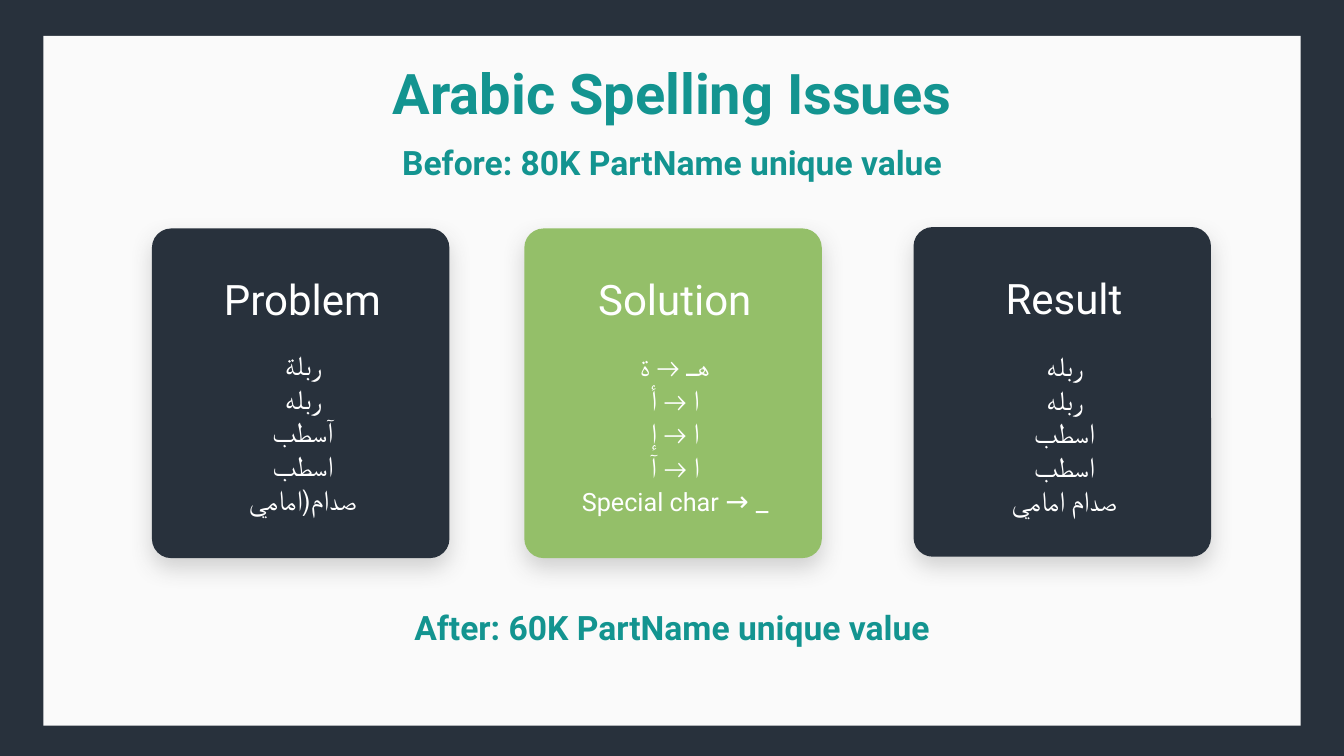
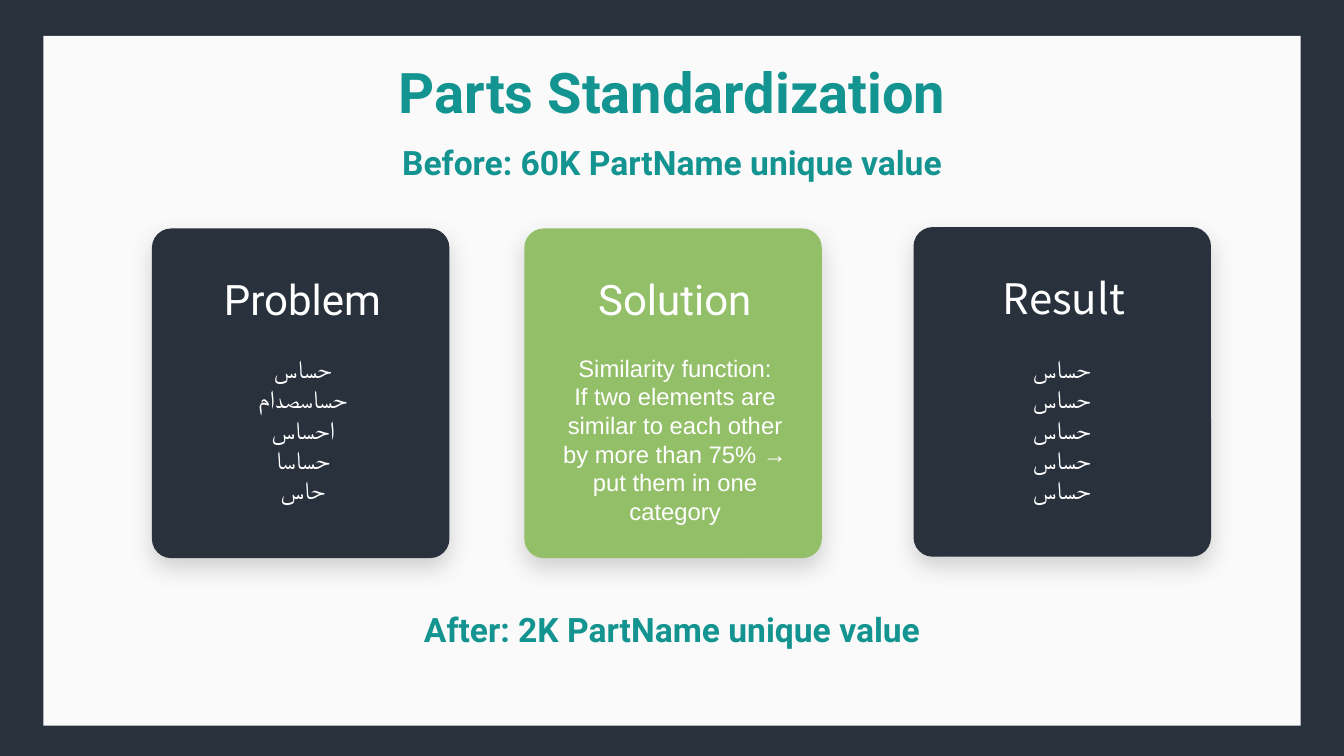
from dataclasses import dataclass

from lxml import etree
from pptx import Presentation
from pptx.dml.color import RGBColor
from pptx.enum.shapes import MSO_SHAPE
from pptx.enum.text import MSO_ANCHOR, PP_ALIGN
from pptx.oxml.ns import qn
from pptx.util import Pt

RECT, ROUND = MSO_SHAPE.RECTANGLE, MSO_SHAPE.ROUNDED_RECTANGLE
TOP, CENTER = MSO_ANCHOR.TOP, PP_ALIGN.CENTER

NAVY = RGBColor(0x28, 0x31, 0x3C)
PAPER = RGBColor(0xFA, 0xFA, 0xFA)
TEAL = RGBColor(0x13, 0x94, 0x90)
GREEN = RGBColor(0x94, 0xBF, 0x69)
WHITE = RGBColor(0xFF, 0xFF, 0xFF)
SHADE = RGBColor(0x40, 0x40, 0x40)

ROBOTO, ARIAL, NOTO = "Roboto", "Arial", "Noto Sans CJK SC"

# Card geometry
CARD_W, CARD_H = 212.5, 235.5
HEAD_DX, HEAD_DY, HEAD_W, HEAD_H = 5.5, 29, 204, 44
BODY_W = 181.5


@dataclass(frozen=True)
class Style:
    size: float
    color: RGBColor = WHITE
    font: str = ROBOTO
    bold: bool = False


@dataclass(frozen=True)
class Slot:
    head: str
    left: float
    top: float
    color: RGBColor


@dataclass(frozen=True)
class Body:
    lines: tuple[str, ...]
    style: Style
    top: float
    height: float
    inset: float = 17
    last: tuple[tuple[str, float], ...] = ()
    font: str = ROBOTO  # font of the card heading


@dataclass(frozen=True)
class Page:
    title: str
    before: str
    after: str
    title_y: float
    after_y: float
    cards: tuple[Body, ...]


SLOTS = (
    Slot("Problem", 108.5, 163.2, NAVY),
    Slot("Solution", 374.5, 163.2, GREEN),
    Slot("Result", 652.5, 162.2, NAVY),
)

TITLE = Style(40, TEAL, bold=True)
COUNT = Style(24, TEAL, bold=True)
SPELL = Style(20)
PART = Style(18, font=ARIAL)
RULE = Style(17, font=ARIAL)

PAGES = (
    Page(
        "Arabic Spelling Issues",
        "Before: 80K PartName unique value",
        "After: 60K PartName unique value",
        38.2, 430,
        (
            Body(("ربلة", "ربله", "آسطب", "اسطب", "صدام(امامي"),
                 SPELL, 244.8, 128),
            Body(("هـ → ة", "ا → أ", "ا → إ", "ا → آ"), SPELL, 245.5, 128,
                 last=(("Special char ", 18), ("→ _", 20))),
            Body(("ربله", "ربله", "اسطب", "اسطب", "صدام امامي"),
                 SPELL, 245.5, 128),
        ),
    ),
    Page(
        "Parts Standardization",
        "Before: 60K PartName unique value",
        "After: 2K PartName unique value",
        37.4, 431.3,
        (
            Body(("حساس", "حساسصدام", "احساس", "حساسا", "حاس"),
                 PART, 249, 116.6),
            Body(("Similarity function:",
                  "If two elements are similar to each other by more than "
                  "75% → put them in one category"),
                 RULE, 249, 131),
            Body(("حساس",) * 5, PART, 249, 116.6, inset=15, font=NOTO),
        ),
    ),
)


def paint(run, style: Style, size: float) -> None:
    font = run.font
    font.size, font.name, font.bold = Pt(size), style.font, style.bold
    font.color.rgb = style.color


def write(shape, lines: tuple[str, ...], style: Style):
    frame = shape.text_frame
    frame.word_wrap = True
    frame.vertical_anchor = TOP
    frame.text = "\n".join(lines)
    for para in frame.paragraphs:
        para.alignment = CENTER
        for run in para.runs:
            paint(run, style, style.size)
    return frame


def block(shapes, kind, left: float, top: float, width: float,
          height: float, color: RGBColor):
    shape = shapes.add_shape(kind, Pt(left), Pt(top), Pt(width), Pt(height))
    shape.fill.solid()
    shape.fill.fore_color.rgb = color
    shape.line.fill.background()
    shape.shadow.inherit = False
    return shape


def shade(shape) -> None:
    """Give a card its soft shadow below."""
    effects = shape._element.spPr.find(qn("a:effectLst"))
    outer = etree.SubElement(
        effects, qn("a:outerShdw"), blurRad=str(Pt(16)), dist=str(Pt(7)),
        dir="5400000", algn="t", rotWithShape="0")
    color = etree.SubElement(outer, qn("a:srgbClr"), val=str(SHADE))
    etree.SubElement(color, qn("a:alpha"), val="21000")


def label(slide, text: str, top: float, height: float, style: Style) -> None:
    box = slide.shapes.add_textbox(Pt(165), Pt(top), Pt(630), Pt(height))
    write(box, (text,), style)


def card(slide, slot: Slot, body: Body) -> None:
    shapes = slide.shapes.add_group_shape().shapes
    base = block(shapes, ROUND, slot.left, slot.top, CARD_W, CARD_H, slot.color)
    base.adjustments[0] = 0.065
    shade(base)
    # Heading
    head = block(shapes, RECT, slot.left + HEAD_DX, slot.top + HEAD_DY,
                 HEAD_W, HEAD_H, slot.color)
    write(head, (slot.head,), Style(30, font=body.font))
    # Examples
    area = block(shapes, RECT, slot.left + body.inset, body.top,
                 BODY_W, body.height, slot.color)
    frame = write(area, body.lines, body.style)
    if body.last:
        para = frame.add_paragraph()
        para.alignment = CENTER
        for text, size in body.last:
            run = para.add_run()
            run.text = text
            paint(run, body.style, size)


def build(deck, page: Page) -> None:
    slide = deck.slides.add_slide(deck.slide_layouts[6])
    # Panel and title
    block(slide.shapes, RECT, 31, 25.7, 898, 492.6, PAPER)
    label(slide, page.title, page.title_y, 55.5, TITLE)
    # Cards
    for slot, body in zip(SLOTS, page.cards):
        card(slide, slot, body)
    # Counts
    label(slide, page.before, 98, 36, COUNT)
    label(slide, page.after, page.after_y, 36, COUNT)


def main() -> None:
    deck = Presentation()
    deck.slide_width, deck.slide_height = Pt(960), Pt(540)
    back = deck.slide_master.background.fill
    back.solid()
    back.fore_color.rgb = NAVY
    for page in PAGES:
        build(deck, page)
    deck.save("out.pptx")


if __name__ == "__main__":
    main()
